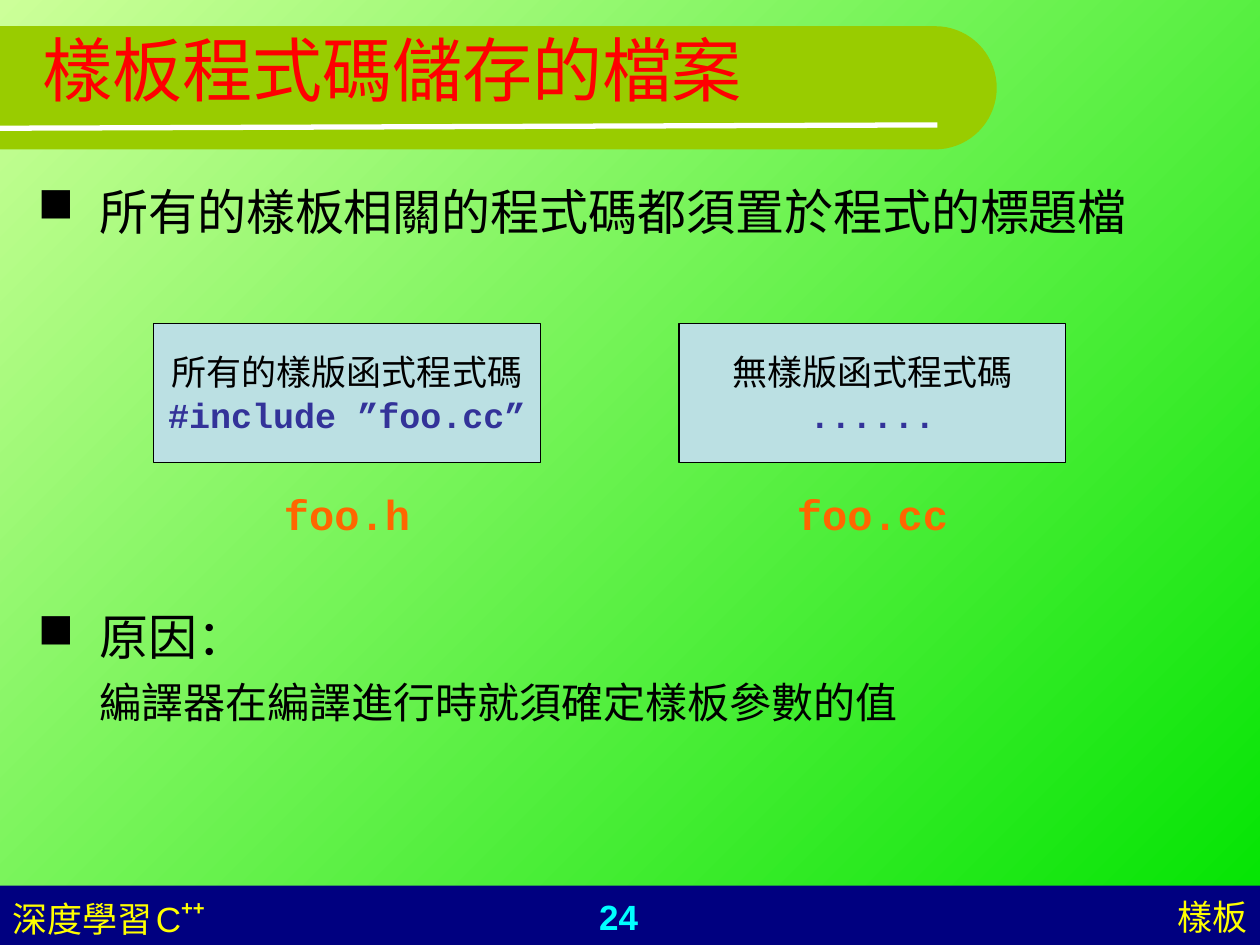
import math
from lxml import etree
from pptx import Presentation
from pptx import util as u
from pptx.dml.color import RGBColor
from pptx.enum import shapes, text
from pptx.oxml import ns

Pt = u.Pt
LEFT, CENTER, RIGHT = text.PP_ALIGN.LEFT, text.PP_ALIGN.CENTER, text.PP_ALIGN.RIGHT
TOP, MIDDLE = text.MSO_ANCHOR.TOP, text.MSO_ANCHOR.MIDDLE


def rgb(value):
    return RGBColor.from_string(value)


def write(shape, lines, align=LEFT, anchor=TOP, wrap=True):
    frame = shape.text_frame
    frame.word_wrap = wrap
    frame.vertical_anchor = anchor
    for number, runs in enumerate(lines):
        paragraph = frame.add_paragraph() if number else frame.paragraphs[0]
        paragraph.alignment = align
        for words, size, font, color, bold in runs:
            run = paragraph.add_run()
            run.text = words
            run.font.size = Pt(size)
            run.font.name = font
            run.font.color.rgb = rgb(color)
            run.font.bold = bold
    return frame.paragraphs


deck = Presentation()
deck.slide_width, deck.slide_height = Pt(720), Pt(540)
slide = deck.slides.add_slide(deck.slide_layouts[6])
canvas = slide.shapes

backdrop = slide.background.fill
backdrop.gradient()
backdrop.gradient_angle = 315
for stop, color in zip(backdrop.gradient_stops, ("CCFF99", "00E400")):
    stop.color.rgb = rgb(color)

footer = canvas.add_shape(shapes.MSO_SHAPE.RECTANGLE, Pt(0), Pt(506), Pt(720), Pt(34))
footer.fill.solid()
footer.fill.fore_color.rgb = rgb("000080")
footer.line.fill.background()
footer.shadow.inherit = False

course = [("深度學習", 20, "Arial", "FFFF00", False), (" ", 8, "Arial", "FFFF00", False),
          ("C", 20, "Arial", "FFFF00", False), ("++", 20, "Arial", "FFFF00", True)]
page = [("24", 20, "Arial", "00FFFF", True)]
chapter = [("樣板", 20, "Arial", "FFFF00", False)]
for left, width, runs, align in ((269.5, 168, page, CENTER), (484.5, 235.5, chapter, RIGHT),
                                 (0, 258, course, LEFT)):
    label = canvas.add_textbox(Pt(left), Pt(508.3), Pt(width), Pt(31.7))
    paragraphs = write(label, [runs], align)
paragraphs[0].runs[-1].font._element.set("baseline", "46000")

radius, center_x, center_y = 35.2, 534.4, 50.2
arc = [(Pt(center_x + radius * math.cos(math.radians(angle))),
        Pt(center_y + radius * math.sin(math.radians(angle)))) for angle in range(-90, 91, 5)]
outline = canvas.build_freeform(Pt(0), Pt(center_y - radius))
outline.add_line_segments(arc + [(Pt(0), Pt(center_y + radius))], close=True)
banner = outline.convert_to_shape()
banner.fill.solid()
banner.fill.fore_color.rgb = rgb("99CC00")
banner.line.fill.background()
banner.shadow.inherit = False

underline = canvas.add_connector(shapes.MSO_CONNECTOR.STRAIGHT, Pt(0), Pt(73.3), Pt(535.7), Pt(71.4))
underline.line.color.rgb = rgb("FFFFFF")
underline.line.width = Pt(3)
etree.SubElement(underline._element.spPr, ns.qn("a:effectLst"))

points = (
    (100, 50, [("所有的樣板相關的程式碼都須置於程式的標題檔", 28)]),
    (343.3, 100, [("原因：", 28), ("編譯器在編譯進行時就須確定樣板參數的值", 24)]),
)
for top, height, lines in points:
    point = canvas.add_textbox(Pt(14.4), Pt(top), Pt(692), Pt(height))
    paragraphs = write(point, [[(words, size, "Courier New", "000000", False)] for words, size in lines])
    for number, paragraph in enumerate(paragraphs):
        paragraph.space_before = Pt(6 if number else 7)
        properties = paragraph._p.get_or_add_pPr()
        properties.set("marL", str(Pt(35.3)))
        properties.set("indent", str(0 if number else -Pt(35.3)))
        if number == 0:
            etree.SubElement(properties, ns.qn("a:buChar")).set("char", "■")

title = canvas.add_textbox(Pt(17.3), Pt(-5.8), Pt(648), Pt(90))
write(title, [[("樣板程式碼儲存的檔案", 40, "Arial", "FF0000", False)]], anchor=MIDDLE)

files = (
    (87.8, "所有的樣版函式程式碼", "#include ”foo.cc”", "foo.h"),
    (388.1, "無樣版函式程式碼", "......", "foo.cc"),
)
for left, summary, code, filename in files:
    content = canvas.add_shape(shapes.MSO_SHAPE.RECTANGLE, Pt(left), Pt(185), Pt(221), Pt(79.2))
    content.fill.solid()
    content.fill.fore_color.rgb = rgb("BBE0E3")
    content.line.color.rgb = rgb("000000")
    content.line.width = Pt(0.75)
    content.shadow.inherit = False
    write(content, [[(summary, 20, "Courier New", "000000", False)],
                    [(code, 20, "Courier New", "333399", True)]], CENTER, MIDDLE, False)
    caption = canvas.add_textbox(Pt(left), Pt(275.8), Pt(221), Pt(36))
    write(caption, [[(filename, 24, "Courier New", "FF6600", True)]], CENTER)

deck.save("out.pptx")
